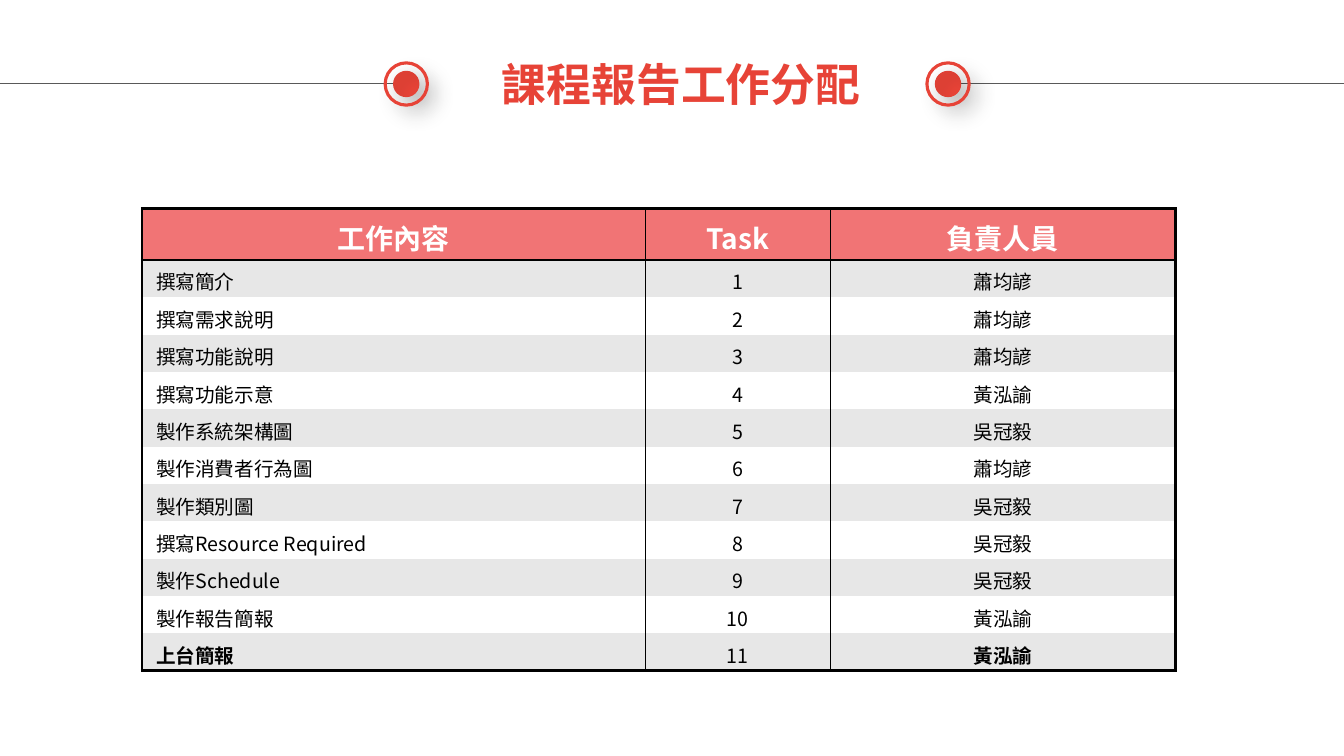
from lxml import etree
from pptx import Presentation
from pptx.dml.color import RGBColor
from pptx.enum import shapes, text
from pptx.oxml import ns
from pptx.util import Pt

# Content
TITLE = "課程報告工作分配"
HEADERS = ("工作內容", "Task", "負責人員")
TASKS = [
    ("撰寫簡介", "蕭均諺"),
    ("撰寫需求說明", "蕭均諺"),
    ("撰寫功能說明", "蕭均諺"),
    ("撰寫功能示意", "黃泓諭"),
    ("製作系統架構圖", "吳冠毅"),
    ("製作消費者行為圖", "蕭均諺"),
    ("製作類別圖", "吳冠毅"),
    ("撰寫Resource Required", "吳冠毅"),
    ("製作Schedule", "吳冠毅"),
    ("製作報告簡報", "黃泓諭"),
    ("上台簡報", "黃泓諭"),
]

# Look and layout, in points
FONT = "Noto Sans CJK SC"
RED, PINK, GREY, WHITE, BLACK = "E74337", "F17475", "E7E7E7", "FFFFFF", "000000"
RULE_GREY = "595959"
SLIDE_W, SLIDE_H = 960, 540
MARK_Y, RING, DOT = 60, 30.2, 16.6
MARKS = [(677.2, SLIDE_W), (290.2, 0)]  # centre of the mark, far end of its rule
TABLE_X, TABLE_Y = 101.5, 149
COLUMNS = (359.3, 132.5, 246.2)
HEADER_H, TASK_H = 36.7, 26.7
EDGES = (2.25, 1, 1, 2.25)  # vertical borders from left to right


def color(value):
    return RGBColor.from_string(value)


def add_run(paragraph, words, size, ink, bold=False):
    run = paragraph.add_run()
    run.text = words
    run.font.size, run.font.bold, run.font.name = Pt(size), bold, FONT
    run.font.color.rgb = color(ink)
    east_asian = etree.SubElement(run._r.get_or_add_rPr(), ns.qn("a:ea"))
    east_asian.set("typeface", FONT)


def add_circle(group, x, diameter, filled):
    circle = group.shapes.add_shape(
        shapes.MSO_SHAPE.OVAL, Pt(x - diameter / 2), Pt(MARK_Y - diameter / 2),
        Pt(diameter), Pt(diameter))
    if filled:
        circle.fill.solid()
        circle.fill.fore_color.rgb = color(RED)
    else:
        circle.fill.background()
    circle.line.color.rgb = color(RED)
    circle.line.width = Pt(2.25)
    circle.shadow.inherit = False
    effects = circle._element.spPr.find(ns.qn("a:effectLst"))
    shadow = etree.SubElement(
        effects, ns.qn("a:outerShdw"), blurRad=str(Pt(12)), dist=str(Pt(10)),
        dir="2700000", algn="tl", rotWithShape="0")
    tint = etree.SubElement(shadow, ns.qn("a:srgbClr"), val=BLACK)
    etree.SubElement(tint, ns.qn("a:alpha"), val="26000")


def add_border(cell, side, width):
    line = etree.SubElement(
        cell._tc.get_or_add_tcPr(), ns.qn("a:ln" + side), w=str(Pt(width)))
    if width:
        fill = etree.SubElement(line, ns.qn("a:solidFill"))
        etree.SubElement(fill, ns.qn("a:srgbClr"), val=BLACK)
    else:
        etree.SubElement(line, ns.qn("a:noFill"))


prs = Presentation()
prs.slide_width, prs.slide_height = Pt(SLIDE_W), Pt(SLIDE_H)
slide = prs.slides.add_slide(prs.slide_layouts[6])

# Title
title = slide.shapes.add_textbox(Pt(351.4), Pt(36.7), Pt(272.9), Pt(46))
title.text_frame.word_wrap = False
add_run(title.text_frame.paragraphs[0], TITLE, 32, RED, True)

# Round marks with rules running to the slide edges
for mark_x, edge_x in MARKS:
    mark = slide.shapes.add_group_shape()
    rule = mark.shapes.add_connector(
        shapes.MSO_CONNECTOR.STRAIGHT, Pt(mark_x), Pt(MARK_Y), Pt(edge_x), Pt(MARK_Y))
    rule.line.color.rgb = color(RULE_GREY)
    rule.line.width = Pt(0.75)
    etree.SubElement(rule._element.spPr, ns.qn("a:effectLst"))
    add_circle(mark, mark_x, DOT, True)
    add_circle(mark, mark_x, RING, False)

# Task table
rows = [HEADERS] + [(task, str(number), person)
                    for number, (task, person) in enumerate(TASKS, 1)]
last = len(rows) - 1
table = slide.shapes.add_table(
    len(rows), len(COLUMNS), Pt(TABLE_X), Pt(TABLE_Y),
    Pt(sum(COLUMNS)), Pt(HEADER_H + TASK_H * last)).table
for column, width in zip(table.columns, COLUMNS):
    column.width = Pt(width)

for r, row in enumerate(rows):
    header = r == 0
    table.rows[r].height = Pt(HEADER_H if header else TASK_H)
    for c, words in enumerate(row):
        cell = table.cell(r, c)
        borders = {"L": EDGES[c], "R": EDGES[c + 1],
                   "T": 2 if r <= 1 else 0, "B": 2 if r in (0, last) else 0}
        for side, width in borders.items():
            add_border(cell, side, width)
        cell.fill.solid()
        cell.fill.fore_color.rgb = color(PINK if header else GREY if r % 2 else WHITE)
        cell.margin_left = cell.margin_right = Pt(10)
        cell.margin_top, cell.margin_bottom = Pt(5), Pt(1)
        cell.vertical_anchor = text.MSO_ANCHOR.MIDDLE
        paragraph = cell.text_frame.paragraphs[0]
        left = c == 0 and not header
        paragraph.alignment = text.PP_ALIGN.LEFT if left else text.PP_ALIGN.CENTER
        bold = header or (r == last and c != 1)
        add_run(paragraph, words, 20 if header else 14, WHITE if header else BLACK, bold)

prs.save("out.pptx")
